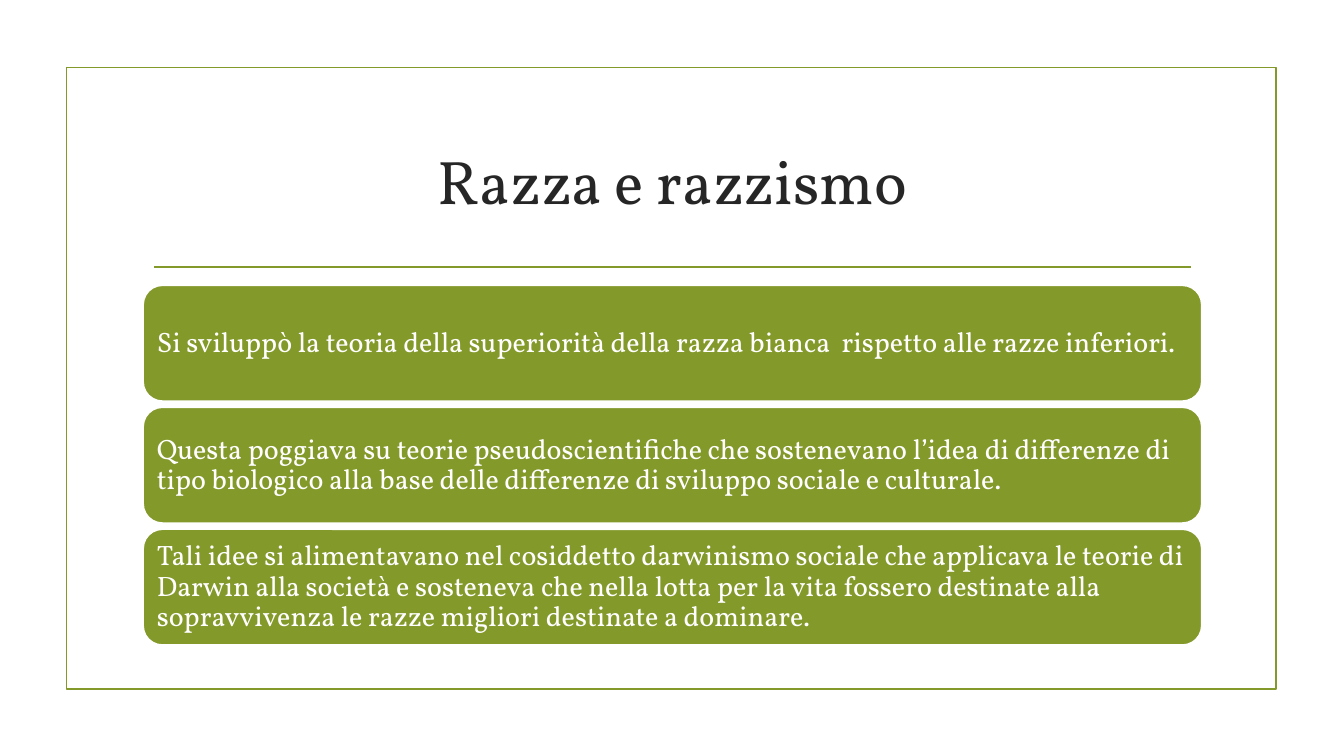
from collections import namedtuple

from lxml import etree
from pptx import Presentation
from pptx.dml.color import RGBColor
from pptx.enum.shapes import MSO_CONNECTOR, MSO_SHAPE
from pptx.enum.text import MSO_ANCHOR, PP_ALIGN
from pptx.oxml.ns import qn
from pptx.util import Inches, Pt

RECTANGLE = MSO_SHAPE.RECTANGLE
ROUNDED = MSO_SHAPE.ROUNDED_RECTANGLE
STRAIGHT = MSO_CONNECTOR.STRAIGHT
MIDDLE = MSO_ANCHOR.MIDDLE
LEFT, CENTER = PP_ALIGN.LEFT, PP_ALIGN.CENTER

COLORS = {"olive": "83992A", "ink": "262626", "white": "FFFFFF"}
FONT = "Vollkorn"
LINE_WIDTH = Pt(1.25)
SLIDE_WIDTH, SLIDE_HEIGHT = Inches(13.33), Inches(7.5)

# Boxes are in percent of the slide's width and height.
Box = namedtuple("Box", "left top width height")
FRAME = Box(4.95, 8.93, 90, 82.27)
TITLE = Box(10.65, 14.27, 78.77, 19.07)
RULE = Box(11.48, 35.33, 77.12, 0)
CARDS = Box(10.65, 37.73, 78.77, 47.6)
CARD_GAP = 0.8

STATEMENTS = [
    "Si sviluppò la teoria della superiorità della razza bianca  rispetto alle "
    "razze inferiori.",
    "Questa poggiava su teorie pseudoscientifiche che sostenevano l’idea di "
    "differenze di tipo biologico alla base delle differenze di sviluppo "
    "sociale e culturale.",
    "Tali idee si alimentavano nel cosiddetto darwinismo sociale che applicava "
    "le teorie di Darwin alla società e sosteneva che nella lotta per la vita "
    "fossero destinate alla sopravvivenza le razze migliori destinate a dominare.",
]


def to_lengths(box):
    """Turn a box in percent into slide lengths."""
    return (
        int(SLIDE_WIDTH * box.left / 100),
        int(SLIDE_HEIGHT * box.top / 100),
        int(SLIDE_WIDTH * box.width / 100),
        int(SLIDE_HEIGHT * box.height / 100),
    )


def color(name):
    """Look up a named colour."""
    return RGBColor.from_string(COLORS[name])


def write_text(shape, text, *, size, ink, align=LEFT, inset=0.08, spacing=1.0):
    """Write one formatted paragraph, vertically centred in a shape."""
    frame = shape.text_frame
    frame.word_wrap = True
    frame.vertical_anchor = MIDDLE
    frame.margin_left = frame.margin_right = Inches(inset)
    frame.margin_top = frame.margin_bottom = Inches(inset)
    paragraph = frame.paragraphs[0]
    paragraph.alignment = align
    paragraph.line_spacing = spacing
    run = paragraph.add_run()
    run.text = text
    run.font.name = FONT
    run.font.size = Pt(size)
    run.font.color.rgb = color(ink)


def add_panel(slide, kind, box, *, line, fill=None):
    """Add an outlined shape, filled if a fill is named."""
    shape = slide.shapes.add_shape(kind, *to_lengths(box))
    shape.shadow.inherit = False
    shape.line.color.rgb = color(line)
    shape.line.width = LINE_WIDTH
    if fill:
        shape.fill.solid()
        shape.fill.fore_color.rgb = color(fill)
    else:
        shape.fill.background()
    return shape


def add_rule(slide, box):
    """Draw the line along the top of the box."""
    left, top, width, _ = to_lengths(box)
    rule = slide.shapes.add_connector(STRAIGHT, left, top, left + width, top)
    rule.line.color.rgb = color("olive")
    rule.line.width = LINE_WIDTH
    etree.SubElement(rule._element.spPr, qn("a:effectLst"))


def add_title(slide, box, text):
    """Add the centred slide title."""
    title = slide.shapes.add_textbox(*to_lengths(box))
    write_text(title, text, size=44, ink="ink", align=CENTER)


def add_cards(slide, box, statements):
    """Stack one equal card per statement within the box."""
    pitch = (box.height + CARD_GAP) / len(statements)
    for index, statement in enumerate(statements):
        card_box = box._replace(top=box.top + index * pitch, height=pitch - CARD_GAP)
        card = add_panel(slide, ROUNDED, card_box, line="white", fill="olive")
        write_text(card, statement, size=20, ink="white", spacing=0.9)


def build_slide(presentation):
    """Build the framed slide with its title and cards."""
    slide = presentation.slides.add_slide(presentation.slide_layouts[6])
    add_panel(slide, RECTANGLE, FRAME, line="olive")
    add_rule(slide, RULE)
    add_title(slide, TITLE, "Razza e razzismo")
    add_cards(slide, CARDS, STATEMENTS)


presentation = Presentation()
presentation.slide_width = SLIDE_WIDTH
presentation.slide_height = SLIDE_HEIGHT
build_slide(presentation)
presentation.save("out.pptx")
